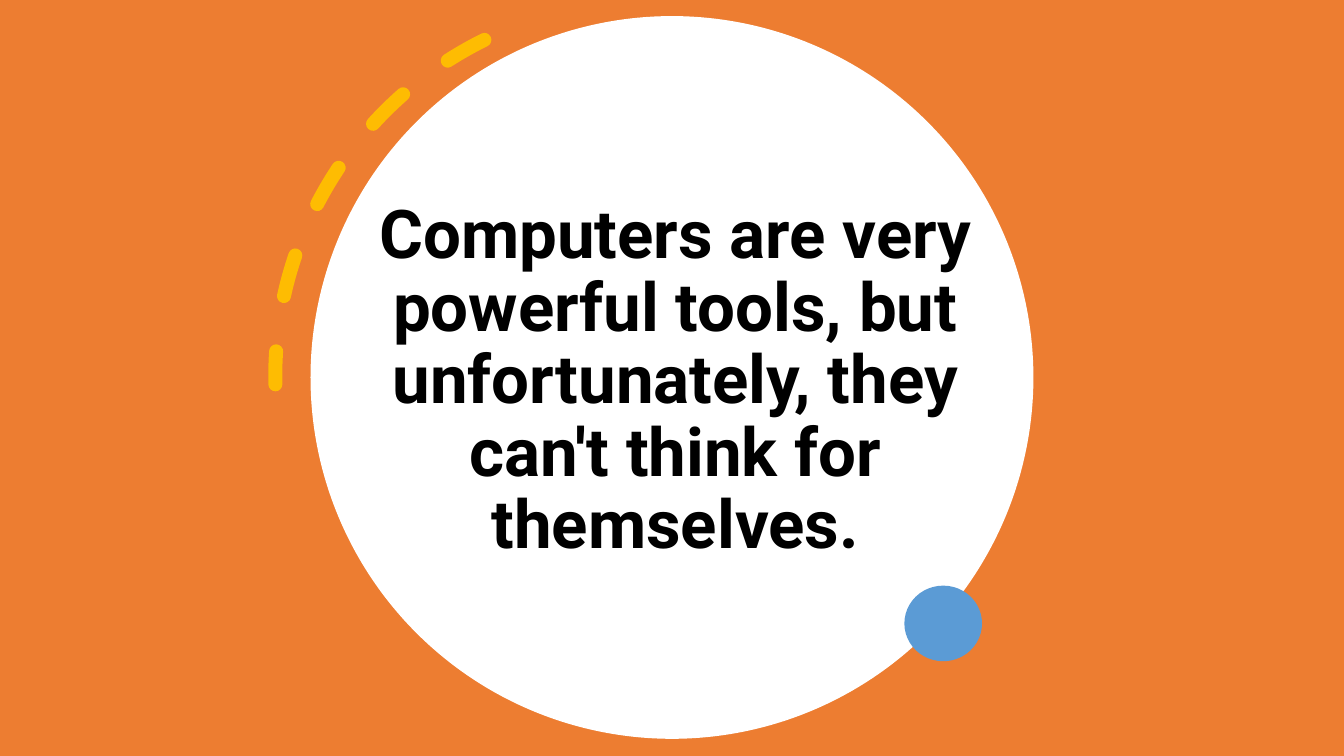
from lxml import etree
from pptx import Presentation
from pptx.dml.color import RGBColor
from pptx.enum.dml import MSO_LINE
from pptx.enum.shapes import MSO_SHAPE
from pptx.enum.text import MSO_ANCHOR, MSO_AUTO_SIZE, PP_ALIGN
from pptx.oxml.ns import qn
from pptx.util import Inches, Pt

RECTANGLE, OVAL, ARC = MSO_SHAPE.RECTANGLE, MSO_SHAPE.OVAL, MSO_SHAPE.ARC
DASH = MSO_LINE.DASH
CENTER, BOTTOM = PP_ALIGN.CENTER, MSO_ANCHOR.BOTTOM
NO_FIT = MSO_AUTO_SIZE.NONE

WIDTH, HEIGHT = 13.33, 7.5
TITLE_ONLY = 5
FONT = "Roboto"
COLORS = {
    "backdrop": "ED7D31",
    "disc": "FFFFFF",
    "dot": "5B9BD5",
    "dashes": "FFC000",
    "text": "000000",
}


def share(left, top, width, height):
    """Turn inches on the page into shares of its size."""
    return left / WIDTH, top / HEIGHT, width / WIDTH, height / HEIGHT


class QuotePage:
    """Draws styled elements on one slide, placed by shares of its size."""

    def __init__(self, deck):
        self.deck = deck
        self.page = deck.slides.add_slide(deck.slide_layouts[TITLE_ONLY])

    def place(self, area):
        """Return the area in slide units."""
        left, top, width, height = area
        across, down = self.deck.slide_width, self.deck.slide_height
        return (round(left * across), round(top * down),
                round(width * across), round(height * down))

    def color(self, name):
        """Return a palette colour."""
        return RGBColor.from_string(COLORS[name])

    def solid(self, kind, area, color):
        """Add a filled shape without outline."""
        shape = self.page.shapes.add_shape(kind, *self.place(area))
        shape.shadow.inherit = False
        shape.fill.solid()
        shape.fill.fore_color.rgb = self.color(color)
        shape.line.fill.background()

    def title(self, text, area, size):
        """Format the title and bring it to the front."""
        box = self.page.shapes.title
        box.left, box.top, box.width, box.height = self.place(area)
        frame = box.text_frame
        frame.text = text
        frame.word_wrap = True
        frame.auto_size = NO_FIT
        frame.vertical_anchor = BOTTOM
        para = frame.paragraphs[0]
        para.alignment = CENTER
        para.line_spacing = 0.9
        para.font.name = FONT
        para.font.size = Pt(size)
        para.font.bold = True
        para.font.color.rgb = self.color("text")
        self.page.shapes._spTree.append(box._element)

    def dashed_arc(self, area, angles, rotation, color, width):
        """Add a mirrored arc with round, slightly transparent dashes."""
        arc = self.page.shapes.add_shape(ARC, *self.place(area))
        arc.shadow.inherit = False
        arc.fill.background()
        for index, angle in enumerate(angles):
            arc.adjustments[index] = angle * 0.6
        arc.rotation = rotation
        arc.line.color.rgb = self.color(color)
        arc.line.width = Pt(width)
        arc.line.dash_style = DASH
        properties = arc._element.spPr
        properties.find(qn("a:xfrm")).set("flipV", "1")
        outline = properties.find(qn("a:ln"))
        outline.set("cap", "rnd")
        tint = outline.find(".//" + qn("a:srgbClr"))
        etree.SubElement(tint, qn("a:alpha")).set("val", "95000")


def main():
    """Build the quote slide."""
    deck = Presentation()
    deck.slide_width, deck.slide_height = Inches(WIDTH), Inches(HEIGHT)
    quote = QuotePage(deck)
    quote.solid(RECTANGLE, (0, 0, 1, 1), "backdrop")
    quote.solid(OVAL, share(3.08, 0.16, 7.17, 7.17), "disc")
    quote.title("Computers are very powerful tools, but unfortunately, "
                "they can't think for themselves.",
                share(3.66, 2.75, 6.08, 2.89), 48)
    quote.dashed_arc(share(2.73, 0.01, 7.45, 7.45), (270, 334.89), 153.7,
                     "dashes", 10)
    quote.solid(OVAL, share(8.97, 5.81, 0.77, 0.75), "dot")
    deck.save("out.pptx")


if __name__ == "__main__":
    main()
